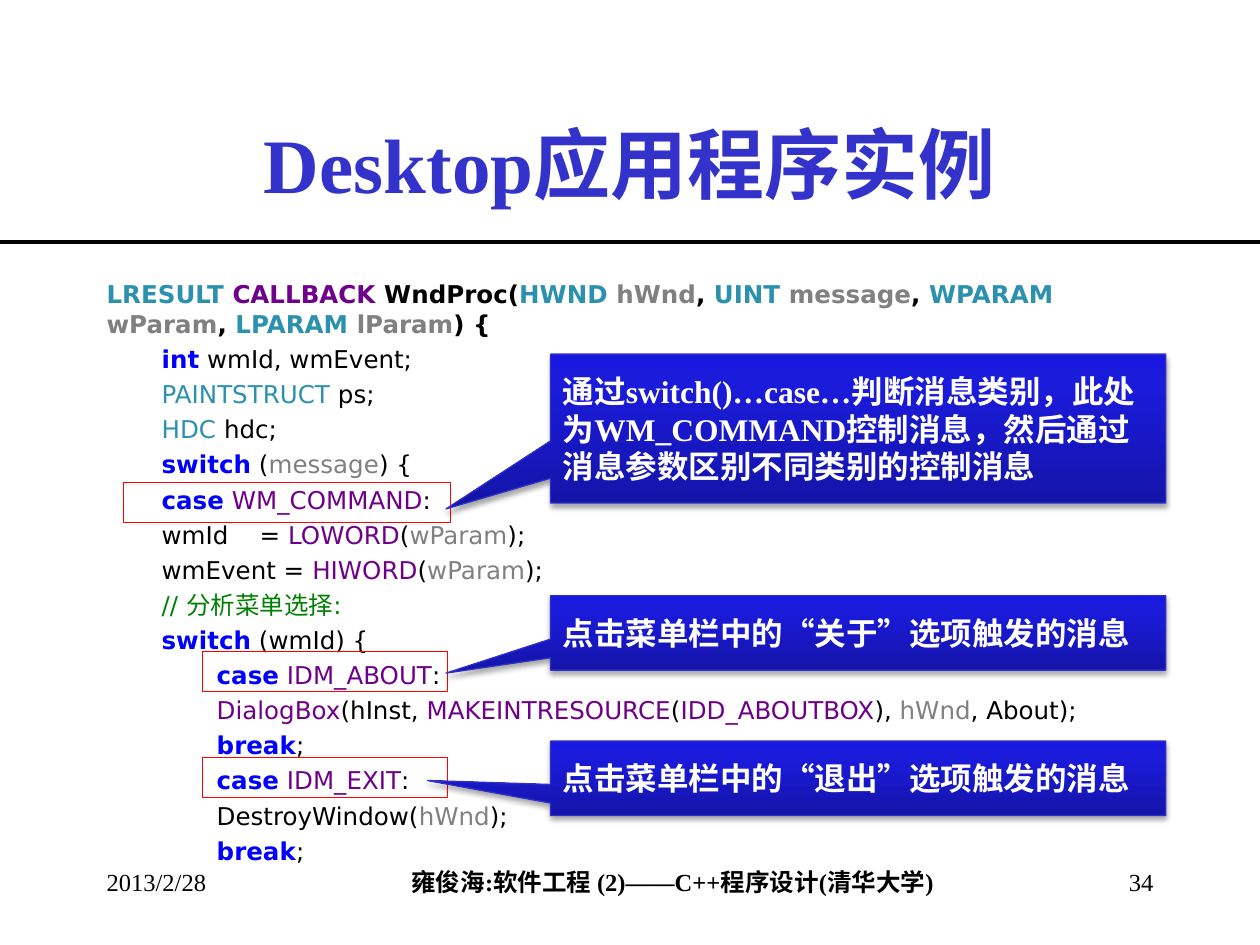
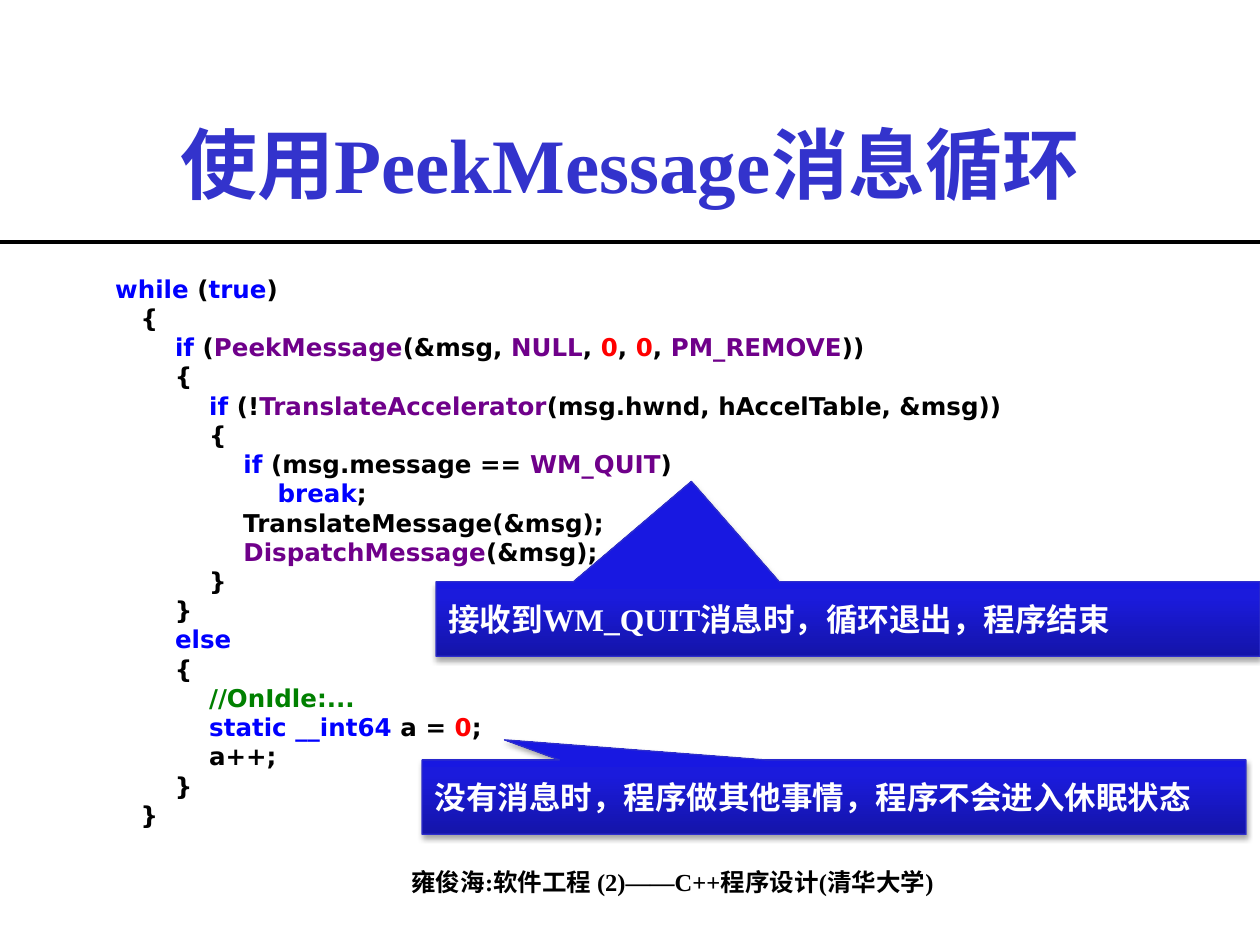
from dataclasses import dataclass
from itertools import groupby

from pptx import Presentation
from pptx.dml.color import RGBColor
from pptx.enum.shapes import MSO_CONNECTOR, MSO_SHAPE
from pptx.enum.text import MSO_ANCHOR, PP_ALIGN
from pptx.oxml import parse_xml
from pptx.oxml.ns import nsdecls
from pptx.util import Cm, Pt


@dataclass(frozen=True)
class Theme:
    serif: str = "Times New Roman"
    code_font: str = "DejaVu Sans"
    title_size: int = 44
    callout_size: int = 18
    small_size: int = 14
    title: str = "3333CC"
    black: str = "000000"
    white: str = "FFFFFF"
    mark: str = "FF0000"
    callout_line: str = "2E2ECB"
    # Syntax colours
    keyword: str = "0000FF"
    type_name: str = "2B91AF"
    macro: str = "6F008A"
    param: str = "808080"
    comment: str = "008000"
    number: str = "FF0000"


THEME = Theme()
LEFT, WIDTH = 1.9, 21.6
SLIDE_W, SLIDE_H = 25.4, 19.05
FOOTER_TOP = 17.35
FOOTER = "雍俊海:软件工程 (2)——C++程序设计(清华大学)"

KEYWORDS = set("int switch case break while true if else static __int64".split())
TYPES = set("LRESULT HWND UINT WPARAM LPARAM PAINTSTRUCT HDC".split())
MACROS = set("CALLBACK WM_COMMAND LOWORD HIWORD IDM_ABOUT DialogBox MAKEINTRESOURCE "
             "IDD_ABOUTBOX IDM_EXIT PeekMessage NULL PM_REMOVE TranslateAccelerator "
             "WM_QUIT DispatchMessage".split())

# Indent level and text of each line
WNDPROC = [
    (0, "LRESULT CALLBACK WndProc(HWND hWnd, UINT message, WPARAM wParam, LPARAM lParam) {"),
    (1, "int wmId, wmEvent;"),
    (1, "PAINTSTRUCT ps;"),
    (1, "HDC hdc;"),
    (1, "switch (message) {"),
    (1, "case WM_COMMAND:"),
    (1, "wmId    = LOWORD(wParam);"),
    (1, "wmEvent = HIWORD(wParam);"),
    (1, "// 分析菜单选择:"),
    (1, "switch (wmId) {"),
    (2, "case IDM_ABOUT:"),
    (2, "DialogBox(hInst, MAKEINTRESOURCE(IDD_ABOUTBOX), hWnd, About);"),
    (2, "break;"),
    (2, "case IDM_EXIT:"),
    (2, "DestroyWindow(hWnd);"),
    (2, "break;"),
]
WNDPROC_PARAMS = {"hWnd", "message", "wParam", "lParam"}

MESSAGE_LOOP = """ while (true)
    {
        if (PeekMessage(&msg, NULL, 0, 0, PM_REMOVE))
        {
            if (!TranslateAccelerator(msg.hwnd, hAccelTable, &msg))
            {
                if (msg.message == WM_QUIT)
                    break;
                TranslateMessage(&msg);
                DispatchMessage(&msg);
            }
        }
        else
        {
            //OnIdle:...
            static __int64 a = 0;
            a++;
        }
    }"""


def set_font(font, size, color, bold=False, name=THEME.serif):
    font.name, font.size, font.bold = name, Pt(size), bold
    font.color.rgb = RGBColor.from_string(color)


def add_text(s, box, text, size, color=THEME.black, bold=False,
             align=PP_ALIGN.LEFT, anchor=MSO_ANCHOR.TOP):
    tf = s.shapes.add_textbox(*map(Cm, box)).text_frame
    tf.word_wrap = True
    tf.vertical_anchor = anchor
    tf.text = text
    p = tf.paragraphs[0]
    p.alignment = align
    set_font(p.runs[0].font, size, color, bold)
    return tf


def add_base(prs, title):
    """Slide with title, rule and central footer."""
    s = prs.slides.add_slide(prs.slide_layouts[6])
    tf = add_text(s, (5.21, FOOTER_TOP, 16.69, 0.84), FOOTER, THEME.small_size,
                  bold=True, align=PP_ALIGN.CENTER)
    tf.margin_left = tf.margin_right = 0
    rule = s.shapes.add_connector(MSO_CONNECTOR.STRAIGHT, 0, Cm(4.88), Cm(SLIDE_W), Cm(4.88))
    rule.line.width = Pt(2.25)
    rule.line.color.rgb = RGBColor.from_string(THEME.black)
    rule._element.spPr.append(parse_xml(f"<a:effectLst {nsdecls('a')}/>"))
    add_text(s, (LEFT, 1.7, WIDTH, 3.18), title, THEME.title_size, THEME.title, True,
             PP_ALIGN.CENTER, MSO_ANCHOR.MIDDLE)
    return s


def token_color(token, params):
    if token.isdigit():
        return THEME.number
    for words, color in ((KEYWORDS, THEME.keyword), (TYPES, THEME.type_name),
                         (MACROS, THEME.macro), (params, THEME.param)):
        if token in words:
            return color
    return THEME.black


def colored_tokens(text, params):
    if text.lstrip().startswith("//"):
        return [(text, THEME.comment)]
    groups = groupby(text, lambda c: c.isalnum() or c == "_")
    tokens = ["".join(chars) for _, chars in groups]
    return [(token, token_color(token, params)) for token in tokens]


def add_code(s, lines, params=frozenset(), all_bold=False, spacing=1.0):
    tf = s.shapes.add_textbox(Cm(LEFT), Cm(5.51), Cm(WIDTH), Cm(11.43)).text_frame
    tf.word_wrap = True
    for i, (level, text) in enumerate(lines):
        p = tf.add_paragraph() if i else tf.paragraphs[0]
        p.line_spacing = spacing
        p.space_before = Pt(3.25 if i else 0)
        p._p.get_or_add_pPr().set("marL", str(Cm(1.11 * level)))
        for token, color in colored_tokens(text, params):
            r = p.add_run()
            r.text = token
            bold = all_bold or level == 0 or color == THEME.keyword
            set_font(r.font, THEME.small_size, color, bold, THEME.code_font)


def add_mark(s, box):
    sp = s.shapes.add_shape(MSO_SHAPE.RECTANGLE, *map(Cm, box))
    sp.shadow.inherit = False
    sp.fill.background()
    sp.line.width = Pt(0.75)
    sp.line.color.rgb = RGBColor.from_string(THEME.mark)


def add_callout(s, box, tip, text):
    sp = s.shapes.add_shape(MSO_SHAPE.RECTANGULAR_CALLOUT, *map(Cm, box))
    sp.adjustments[0], sp.adjustments[1] = tip
    # Three-stop gradient, dark at the bottom
    stops = "".join(f'<a:gs pos="{pos}"><a:srgbClr val="{color}"/></a:gs>' for pos, color in
                    ((0, "1414A9"), (80000, "1B1BDC"), (100000, "1818E1")))
    sp._element.spPr.insert(2, parse_xml(
        f'<a:gradFill {nsdecls("a")}><a:gsLst>{stops}</a:gsLst>'
        '<a:lin ang="16200000" scaled="0"/></a:gradFill>'))
    sp.line.width = Pt(0.75)
    sp.line.color.rgb = RGBColor.from_string(THEME.callout_line)
    # Soft shadow below
    sp.shadow.inherit = False
    sp._element.spPr[-1].append(parse_xml(
        f'<a:outerShdw {nsdecls("a")} blurRad="{Pt(3.1)}" dist="{Pt(1.8)}" dir="5400000" '
        f'rotWithShape="0"><a:srgbClr val="{THEME.black}"><a:alpha val="35000"/>'
        '</a:srgbClr></a:outerShdw>'))
    tf = sp.text_frame
    tf.word_wrap = True
    tf.vertical_anchor = MSO_ANCHOR.MIDDLE
    tf.text = text
    p = tf.paragraphs[0]
    p.alignment = PP_ALIGN.LEFT
    set_font(p.runs[0].font, THEME.callout_size, THEME.white, True)


def add_wndproc_slide(prs):
    s = add_base(prs, "Desktop应用程序实例")
    add_code(s, WNDPROC, WNDPROC_PARAMS)
    # Date and slide number
    add_text(s, (LEFT, FOOTER_TOP, 5.28, 1.27), "2013/2/28", THEME.small_size)
    add_text(s, (LEFT + WIDTH - 5.28, FOOTER_TOP, 5.28, 1.27), "34", THEME.small_size,
             align=PP_ALIGN.RIGHT)
    # Marked cases and their explanations
    for box in ((2.49, 9.73, 6.6, 0.81), (4.09, 13.13, 4.93, 0.81), (4.09, 15.27, 4.93, 0.81)):
        add_mark(s, box)
    for top, height, tip, text in (
            (7.14, 3, (-0.67, 0.54),
             "通过switch()…case…判断消息类别，此处为WM_COMMAND控制消息，"
             "然后通过消息参数区别不同类别的控制消息"),
            (12.01, 1.5, (-0.67, 0.54), "点击菜单栏中的“关于”选项触发的消息"),
            (14.94, 1.5, (-0.7, 0.03), "点击菜单栏中的“退出”选项触发的消息")):
        add_callout(s, (11.1, top, 12.4, height), tip, text)


def add_message_loop_slide(prs):
    s = add_base(prs, "使用PeekMessage消息循环")
    add_code(s, [(0, line) for line in MESSAGE_LOOP.splitlines()], all_bold=True, spacing=0.8)
    add_callout(s, (8.79, 11.73, 16.61, 1.5), (-0.19, -1.85),
                "接收到WM_QUIT消息时，循环退出，程序结束")
    add_callout(s, (8.51, 15.32, 16.61, 1.5), (-0.4, -0.77),
                "没有消息时，程序做其他事情，程序不会进入休眠状态")


def main():
    prs = Presentation()
    prs.slide_width, prs.slide_height = Cm(SLIDE_W), Cm(SLIDE_H)
    add_wndproc_slide(prs)
    add_message_loop_slide(prs)
    prs.save("out.pptx")


if __name__ == "__main__":
    main()
